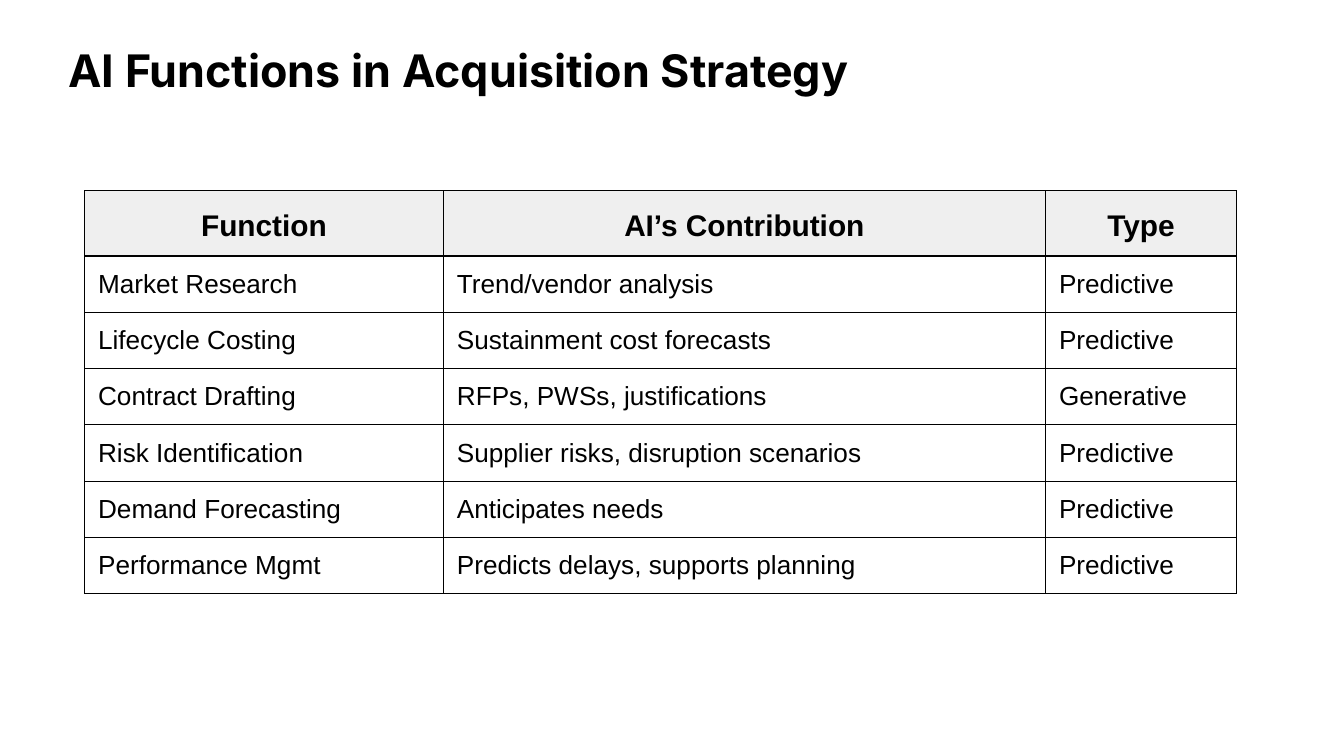
import pptx
import pptx.util
import pptx.dml.color
import pptx.enum.text
import pptx.oxml
import pptx.oxml.ns

PX = 4572
COLORS = {"text": "000000", "line": "000000", "header": "EFEFEF"}
COLUMNS = [534, 896, 284]
HEADER_HEIGHT = 96
ROW_HEIGHT = 83
MARGIN = 20
ROWS = [
    ["Function", "AI’s Contribution", "Type"],
    ["Market Research", "Trend/vendor analysis", "Predictive"],
    ["Lifecycle Costing", "Sustainment cost forecasts", "Predictive"],
    ["Contract Drafting", "RFPs, PWSs, justifications", "Generative"],
    ["Risk Identification", "Supplier risks, disruption scenarios", "Predictive"],
    ["Demand Forecasting", "Anticipates needs", "Predictive"],
    ["Performance Mgmt", "Predicts delays, supports planning", "Predictive"],
]


def px(n):
    return pptx.util.Emu(n * PX)


def color(name):
    return pptx.dml.color.RGBColor.from_string(COLORS[name])


def format_text(p, font, size, bold):
    for r in p.runs:
        r.font.name = font
        r.font.size = pptx.util.Pt(size)
        r.font.bold = bold
        r.font.color.rgb = color("text")


def add_borders(cell):
    tcPr = cell._tc.get_or_add_tcPr()
    for i, side in enumerate(["lnL", "lnR", "lnT", "lnB"]):
        ln = pptx.oxml.parse_xml(
            f'<a:{side} {pptx.oxml.ns.nsdecls("a")} w="{pptx.util.Pt(0.75)}">'
            f'<a:solidFill><a:srgbClr val="{COLORS["line"]}"/></a:solidFill></a:{side}>'
        )
        tcPr.insert(i, ln)


def add_title(s, text, left, top, width, height):
    sp = s.shapes.title
    sp.left, sp.top, sp.width, sp.height = px(left), px(top), px(width), px(height)
    tf = sp.text_frame
    tf.text = text
    tf.word_wrap = True
    tf.auto_size = pptx.enum.text.MSO_AUTO_SIZE.NONE
    tf.vertical_anchor = pptx.enum.text.MSO_ANCHOR.MIDDLE
    p = tf.paragraphs[0]
    p.alignment = pptx.enum.text.PP_ALIGN.LEFT
    p.line_spacing = 1.2
    format_text(p, "Inter", 24, True)


def format_cell(cell, text, header):
    cell.text = text
    cell.margin_left = cell.margin_right = px(MARGIN)
    cell.margin_top = cell.margin_bottom = px(MARGIN)
    p = cell.text_frame.paragraphs[0]
    if header:
        cell.fill.solid()
        cell.fill.fore_color.rgb = color("header")
        p.alignment = pptx.enum.text.PP_ALIGN.CENTER
        p.line_spacing = 1.15
    else:
        cell.fill.background()
    format_text(p, "Arial", 16 if header else 14, header)
    add_borders(cell)


def add_functions_table(s, left, top):
    height = HEADER_HEIGHT + ROW_HEIGHT * (len(ROWS) - 1)
    table = s.shapes.add_table(
        len(ROWS), len(COLUMNS), px(left), px(top), px(sum(COLUMNS)), px(height)
    ).table
    table.horz_banding = False
    for column, width in zip(table.columns, COLUMNS):
        column.width = px(width)
    for i, (row, texts) in enumerate(zip(table.rows, ROWS)):
        row.height = px(ROW_HEIGHT if i else HEADER_HEIGHT)
        for cell, text in zip(row.cells, texts):
            format_cell(cell, text, i == 0)


def main():
    prs = pptx.Presentation()
    prs.slide_width, prs.slide_height = px(2000), px(1125)
    s = prs.slides.add_slide(prs.slide_layouts[5])
    add_title(s, "AI Functions in Acquisition Strategy", 82, 58, 1516, 76)
    add_functions_table(s, 126, 284)
    prs.save("out.pptx")


if __name__ == "__main__":
    main()
